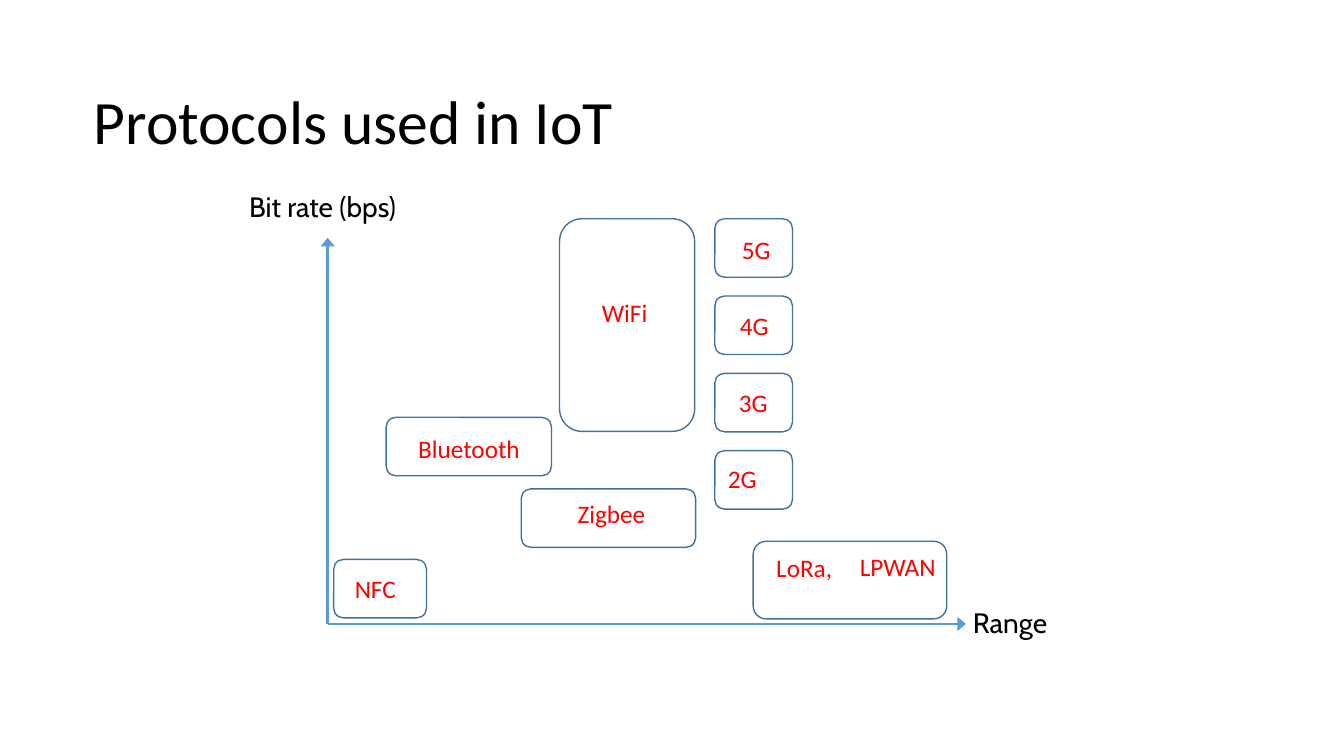
from lxml.etree import SubElement
from pptx import Presentation
from pptx.dml.color import RGBColor
from pptx.enum.shapes import MSO_CONNECTOR, MSO_SHAPE
from pptx.enum.text import MSO_ANCHOR, MSO_AUTO_SIZE
from pptx.oxml.ns import qn
from pptx.util import Inches, Pt

BLACK = RGBColor(0x00, 0x00, 0x00)
RED = RGBColor(0xFF, 0x00, 0x00)
AXIS_BLUE = RGBColor(0x5B, 0x9B, 0xD5)
OUTLINE_BLUE = RGBColor(0x41, 0x71, 0x9C)

prs = Presentation()
prs.slide_width, prs.slide_height = Inches(13.33), Inches(7.5)
slide = prs.slides.add_slide(prs.slide_layouts[6])


def add_text(text, left, top, width, height, size=18, font="Calibri",
             color=RED, wrap=False, insets=(0.1, 0.05, 0.1, 0.05),
             anchor=MSO_ANCHOR.TOP, auto_size=MSO_AUTO_SIZE.SHAPE_TO_FIT_TEXT):
    box = slide.shapes.add_textbox(Inches(left), Inches(top), Inches(width), Inches(height))
    frame = box.text_frame
    frame.word_wrap = wrap
    frame.auto_size = auto_size
    frame.vertical_anchor = anchor
    (frame.margin_left, frame.margin_top,
     frame.margin_right, frame.margin_bottom) = [Inches(inset) for inset in insets]
    run = frame.paragraphs[0].add_run()
    run.text = text
    run.font.size = Pt(size)
    run.font.name = font
    run.font.color.rgb = color


# Title
add_text("Protocols used in IoT", 0.93, 0.4, 11.5, 1.45, size=44, color=BLACK, wrap=True,
         insets=(0, 0.13, 0, 0), anchor=MSO_ANCHOR.MIDDLE, auto_size=MSO_AUTO_SIZE.NONE)

# Axes from a shared origin
origin = (3.25, 6.19)
for tip in [(9.58, 6.19), (3.25, 2.36)]:
    axis = slide.shapes.add_connector(
        MSO_CONNECTOR.STRAIGHT, *[Inches(value) for value in origin + tip])
    axis.line.color.rgb = AXIS_BLUE
    axis.line.width = Pt(2)
    SubElement(axis.line._get_or_add_ln(), qn("a:tailEnd"), type="triangle", w="lg", len="med")
    SubElement(axis._element.spPr, qn("a:effectLst"))

# Axis labels
for label, left, top, width in [("Range", 9.65, 6, 0.8), ("Bit rate (bps)", 2.47, 1.87, 1.59)]:
    add_text(label, left, top, width, 0.36, size=20, font="Cabin", color=BLACK,
             wrap=True, insets=(0, 0.01, 0, 0))

# Protocol regions: left, top, width, height, then names with their left, top, width
regions = [
    (5.55, 2.17, 1.34, 2.11, [("WiFi", 5.87, 2.9, 0.71)]),
    (3.83, 4.14, 1.64, 0.58, [("Bluetooth", 4.05, 4.25, 1.27)]),
    (5.17, 4.85, 1.73, 0.58, [("Zigbee", 5.63, 4.89, 0.97)]),
    (7.47, 5.37, 1.92, 0.77, [("LoRa,", 7.6, 5.43, 0.88), ("LPWAN", 8.43, 5.42, 0.99)]),
    (3.31, 5.55, 0.92, 0.58, [("NFC", 3.42, 5.64, 0.72)]),
]

# Cellular generations stacked at an equal pitch
cellular = [("5G", 7.26, 2.28), ("4G", 7.24, 3.03), ("3G", 7.23, 3.79), ("2G", 7.12, 4.55)]
for step, (generation, left, top) in enumerate(cellular):
    regions.append((7.09, 2.17 + step * 0.767, 0.77, 0.58, [(generation, left, top, 0.54)]))

for left, top, width, height, protocols in regions:
    region = slide.shapes.add_shape(MSO_SHAPE.ROUNDED_RECTANGLE, Inches(left), Inches(top),
                                    Inches(width), Inches(height))
    region.shadow.inherit = False
    region.fill.background()
    region.line.color.rgb = OUTLINE_BLUE
    region.line.width = Pt(1)
    for protocol, text_left, text_top, text_width in protocols:
        add_text(protocol, text_left, text_top, text_width, 0.4)

prs.save("out.pptx")
